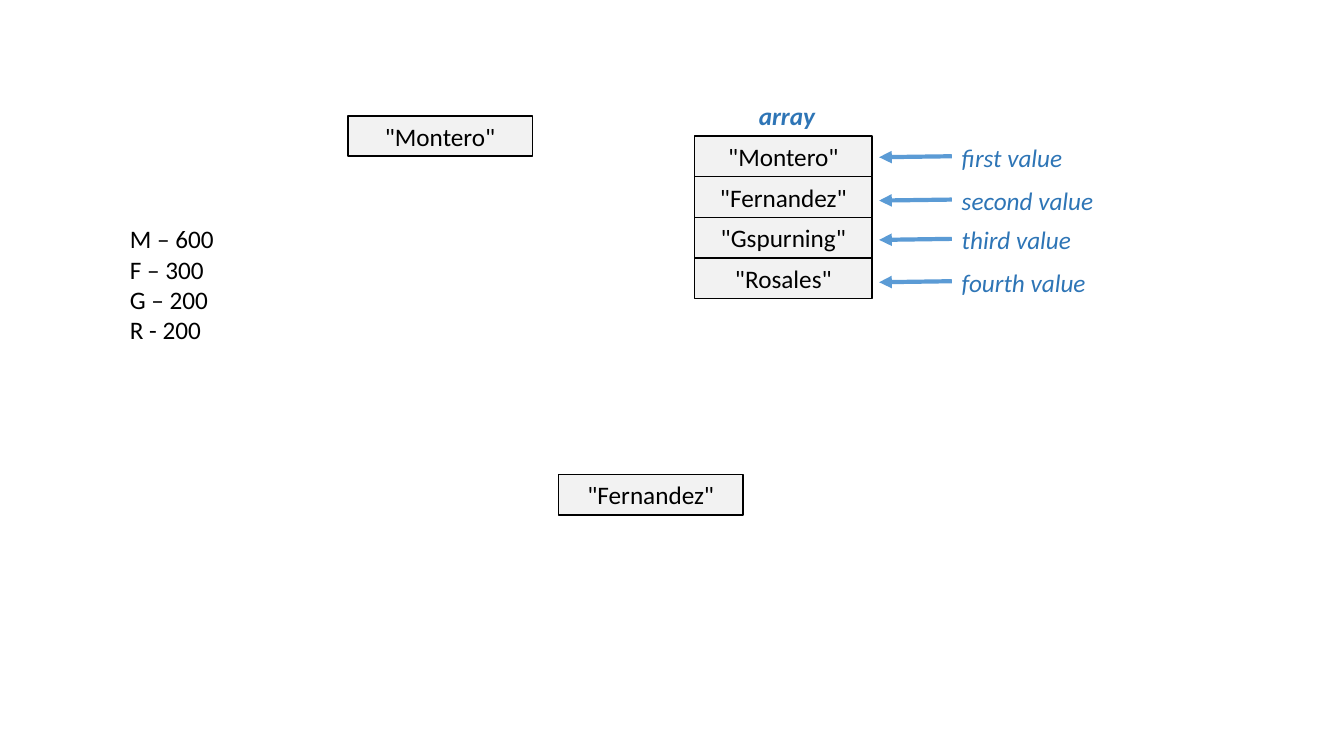
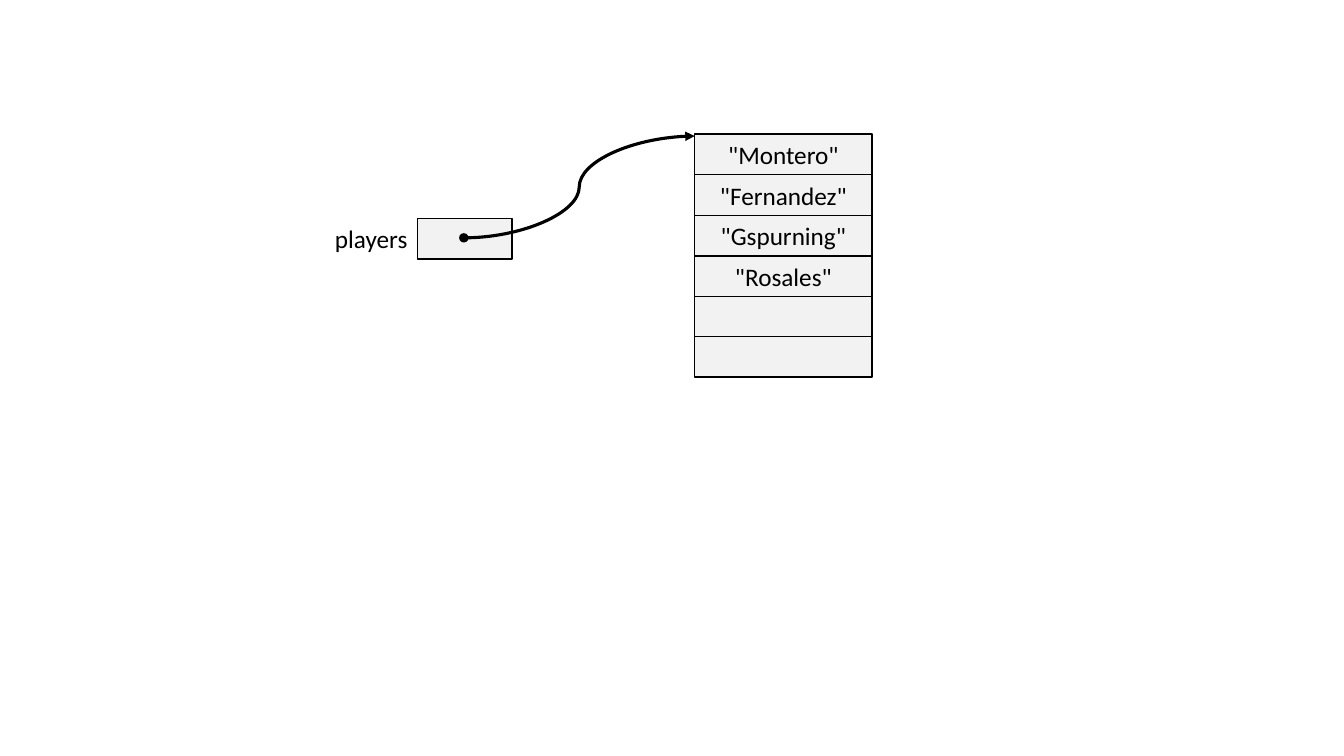
from dataclasses import dataclass
from typing import Any, Optional

from lxml import etree
from pptx import Presentation
from pptx import util as u
from pptx.dml.color import RGBColor
from pptx.enum import shapes, text
from pptx.oxml import ns


@dataclass(frozen=True)
class Theme:
    font: str = "Calibri"
    size: float = 18
    ink: RGBColor = RGBColor(0x00, 0x00, 0x00)
    cell: RGBColor = RGBColor(0xF2, 0xF2, 0xF2)
    note: RGBColor = RGBColor(0x2E, 0x75, 0xB6)
    arrow: RGBColor = RGBColor(0x5B, 0x9B, 0xD5)
    border: float = 1
    pointer: float = 2.25
    arrow_width: float = 3


@dataclass(frozen=True)
class Cell:
    left: float
    top: float
    width: float
    height: float = 0.4
    words: str = ""


@dataclass(frozen=True)
class Label:
    left: float
    top: float
    width: float
    lines: tuple[str, ...]
    align: text.PP_ALIGN = text.PP_ALIGN.LEFT
    format: Optional[dict[str, Any]] = None
    height: float = 0.4


@dataclass(frozen=True)
class Arrow:
    start: tuple[float, float]
    end: tuple[float, float]
    color: RGBColor
    width: float
    kind: shapes.MSO_CONNECTOR = shapes.MSO_CONNECTOR.STRAIGHT
    head: Optional[str] = None


THEME = Theme()
NOTE = {"color": THEME.note, "italic": True}
HEADING = {**NOTE, "bold": True}
PLAYERS = ('"Montero"', '"Fernandez"', '"Gspurning"', '"Rosales"')
ARRAY_LEFT, ARRAY_WIDTH = 6.89, 1.76
LOOSE_WIDTH = 1.83


def write(p, words: str, format: Optional[dict[str, Any]] = None) -> None:
    r = p.add_run()
    r.text = words
    values = {"name": THEME.font, "size": u.Pt(THEME.size),
              "color": THEME.ink, **(format or {})}
    r.font.color.rgb = values.pop("color")
    for name, value in values.items():
        setattr(r.font, name, value)


def draw_cell(s, cell: Cell) -> None:
    sp = s.shapes.add_shape(
        shapes.MSO_SHAPE.RECTANGLE,
        *map(u.Inches, (cell.left, cell.top, cell.width, cell.height)))
    sp.shadow.inherit = False
    sp.fill.solid()
    sp.fill.fore_color.rgb = THEME.cell
    sp.line.color.rgb = THEME.ink
    sp.line.width = u.Pt(THEME.border)
    if cell.words:
        tf = sp.text_frame
        tf.vertical_anchor = text.MSO_ANCHOR.MIDDLE
        p = tf.paragraphs[0]
        p.alignment = text.PP_ALIGN.CENTER
        write(p, cell.words)


def draw_label(s, label: Label) -> None:
    sp = s.shapes.add_textbox(
        *map(u.Inches, (label.left, label.top, label.width, label.height)))
    tf = sp.text_frame
    for name, value in {"word_wrap": True,
                        "auto_size": text.MSO_AUTO_SIZE.SHAPE_TO_FIT_TEXT}.items():
        setattr(tf, name, value)
    for i, line in enumerate(label.lines):
        p = tf.add_paragraph() if i else tf.paragraphs[0]
        p.alignment = label.align
        write(p, line, label.format)


def draw_arrow(s, arrow: Arrow) -> None:
    sp = s.shapes.add_connector(
        arrow.kind, *map(u.Inches, (*arrow.start, *arrow.end)))
    sp.line.color.rgb = arrow.color
    sp.line.width = u.Pt(arrow.width)
    ln = sp.line._get_or_add_ln()
    for end, shape in (("a:headEnd", arrow.head), ("a:tailEnd", "triangle")):
        if shape:
            etree.SubElement(ln, ns.qn(end), type=shape)
    etree.SubElement(sp._element.spPr, ns.qn("a:effectLst"))


def draw_array(s, top: float, values: tuple[str, ...]) -> None:
    for i, words in enumerate(values):
        height = 0.41 if i == 1 else 0.4
        draw_cell(s, Cell(ARRAY_LEFT, top, ARRAY_WIDTH, height, words))
        top += height


def build_values(s) -> None:
    # Array with its heading
    draw_array(s, 1.35, PLAYERS)
    draw_label(s, Label(ARRAY_LEFT, 0.95, LOOSE_WIDTH, ("array",),
                        text.PP_ALIGN.CENTER, HEADING))

    # Arrow and rank beside each value
    for rank, top in zip(("first", "second", "third", "fourth"),
                         (1.36, 1.79, 2.18, 2.6)):
        y = top + 0.2
        draw_arrow(s, Arrow((9.44, y - 0.01), (8.72, y),
                            THEME.arrow, THEME.arrow_width))
        draw_label(s, Label(9.44, top, 1.64, (f"{rank} value",), format=NOTE))

    # Scores and loose values
    draw_label(s, Label(1.19, 2.17, 2.94,
                        ("M – 600", "F – 300", "G – 200", "R - 200"),
                        height=1.31))
    draw_cell(s, Cell(5.54, 4.71, LOOSE_WIDTH, words=PLAYERS[1]))
    draw_cell(s, Cell(3.45, 1.15, LOOSE_WIDTH, words=PLAYERS[0]))


def build_reference(s) -> None:
    # Variable and its pointer to the array
    draw_label(s, Label(2.71, 2.17, 1.43, ("players",), text.PP_ALIGN.RIGHT))
    draw_cell(s, Cell(4.14, 2.17, 0.94))
    draw_arrow(s, Arrow((4.6, 2.36), (ARRAY_LEFT, 1.35), THEME.ink,
                        THEME.pointer, shapes.MSO_CONNECTOR.CURVE, "oval"))

    # Array with two free places
    draw_array(s, 1.33, PLAYERS + ("", ""))


prs = Presentation()
prs.slide_width, prs.slide_height = u.Inches(13.33), u.Inches(7.5)
for build in (build_values, build_reference):
    build(prs.slides.add_slide(prs.slide_layouts[6]))
prs.save("out.pptx")
